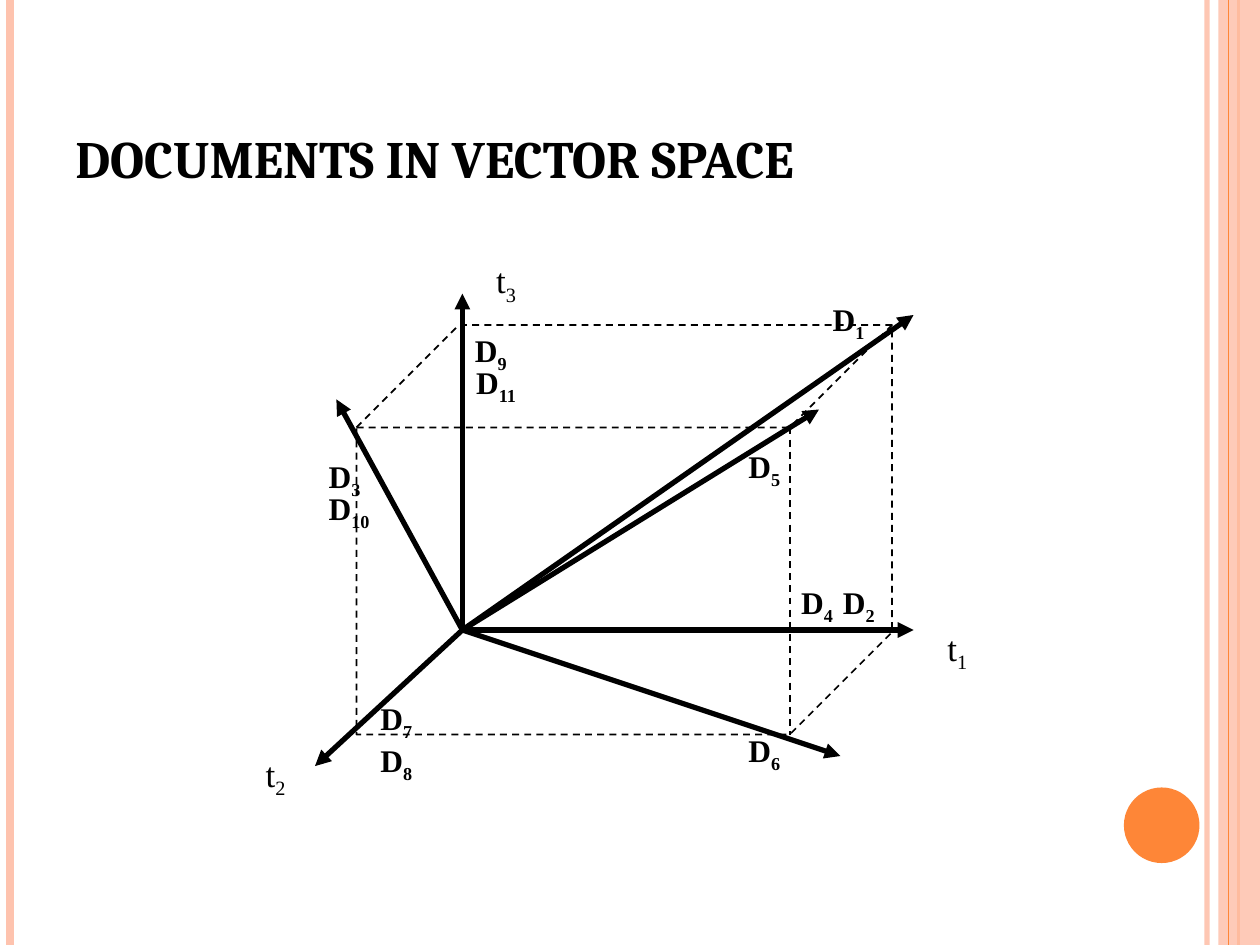
from lxml import etree
from pptx import Presentation
from pptx import util as u
from pptx.dml.color import RGBColor
from pptx.enum import dml, shapes, text
from pptx.oxml.ns import qn

BLACK, PEACH, ORANGE = "000000", "FEC3AE", "FE8637"
color = RGBColor.from_string


def add_line(start, end, hex_color, width, arrow=False, alpha=100):
    """Draw a straight line; alpha is the opacity in percent."""
    points = [u.Inches(value) for value in (*start, *end)]
    line = slide.shapes.add_connector(shapes.MSO_CONNECTOR.STRAIGHT, *points)
    line.line.color.rgb = color(hex_color)
    line.line.width = u.Pt(width)
    outline = line.line._get_or_add_ln()
    if alpha < 100:
        etree.SubElement(outline.find(".//" + qn("a:srgbClr")), qn("a:alpha"), val=str(alpha * 1000))
    if arrow:
        etree.SubElement(outline, qn("a:tailEnd"), type="triangle")
    etree.SubElement(line._element.spPr, qn("a:effectLst"))


def add_text(content, left, top, width, height, size, font="Times New Roman", bold=False,
             subscript="", wrap=False, anchor=text.MSO_ANCHOR.TOP,
             fit=text.MSO_AUTO_SIZE.SHAPE_TO_FIT_TEXT):
    box = slide.shapes.add_textbox(*(u.Inches(value) for value in (left, top, width, height)))
    frame = box.text_frame
    frame.word_wrap = wrap
    frame.auto_size = fit
    frame.vertical_anchor = anchor
    paragraph = frame.paragraphs[0]
    for part, baseline in ((content, 0), (subscript, -25000)):
        if not part:
            continue
        run = paragraph.add_run()
        run.text = part
        run.font.name = font
        run.font.size = u.Pt(size)
        run.font.bold = bold
        run.font.color.rgb = color(BLACK)
        if baseline:
            run.font._element.set("baseline", str(baseline))


presentation = Presentation()
presentation.slide_width = u.Inches(10)
presentation.slide_height = u.Inches(7.5)
slide = presentation.slides.add_slide(presentation.slide_layouts[6])

# Side stripes and the orange dot
add_line((9.58, 0), (9.58, 7.5), PEACH, 3, alpha=93)
add_line((0.08, 0), (0.08, 7.5), PEACH, 4.5)
add_line((9.83, 0), (9.83, 7.5), ORANGE, 1.5)

band = slide.shapes.add_shape(shapes.MSO_SHAPE.RECTANGLE, u.Inches(9.67), 0, u.Inches(0.33), u.Inches(7.5))
band.shadow.inherit = False
band.fill.solid()
band.fill.fore_color.rgb = color(PEACH)
etree.SubElement(band._element.spPr.find(".//" + qn("a:srgbClr")), qn("a:alpha"), val="87000")
band.line.fill.background()

add_line((9.75, 0), (9.75, 7.5), ORANGE, 0.75)

dot = slide.shapes.add_shape(shapes.MSO_SHAPE.OVAL, u.Inches(8.92), u.Inches(6.25), u.Inches(0.6), u.Inches(0.6))
dot.shadow.inherit = False
dot.fill.solid()
dot.fill.fore_color.rgb = color(ORANGE)
dot.line.fill.background()

add_text("DOCUMENTS IN VECTOR SPACE", 0.5, 0.3, 8.17, 1.25, size=30, font="Cambria", bold=True,
         wrap=True, anchor=text.MSO_ANCHOR.BOTTOM, fit=text.MSO_AUTO_SIZE.NONE)

# Dashed cube around the vectors
cube = slide.shapes.add_shape(shapes.MSO_SHAPE.CUBE, u.Inches(2.83), u.Inches(2.58), u.Inches(4.25), u.Inches(3.25))
cube.adjustments[0] = 0.25
cube.shadow.inherit = False
cube.fill.background()
cube.line.color.rgb = color(BLACK)
cube.line.width = u.Pt(1)
cube.line.dash_style = dml.MSO_LINE.DASH

# Axes and document vectors share one origin
origin = (3.67, 5)
vector_tips = [(2.5, 6.08), (7.25, 5), (3.67, 2.33), (7.25, 2.5), (2.67, 3.17), (6.67, 6), (6.5, 3.25)]
for tip in vector_tips:
    add_line(origin, tip, BLACK, 3, arrow=True)

axis_labels = [("1", 7.42, 4.92), ("2", 2.01, 5.92), ("3", 3.84, 2)]
for number, left, top in axis_labels:
    add_text("t", left, top, 0.36, 0.48, size=20, subscript=number)

document_labels = [
    ("1", 6.51, 2.33), ("2", 6.59, 4.58), ("10", 2.51, 3.83), ("3", 2.51, 3.58),
    ("9", 3.67, 2.58), ("4", 6.26, 4.58), ("7", 2.92, 5.5), ("8", 2.92, 5.83),
    ("5", 5.84, 3.5), ("11", 3.68, 2.83), ("6", 5.84, 5.75),
]
for number, left, top in document_labels:
    width = 0.37 + 0.08 * len(number)
    add_text("D", left, top, width, 0.44, size=18, bold=True, subscript=number)

presentation.save("out.pptx")
